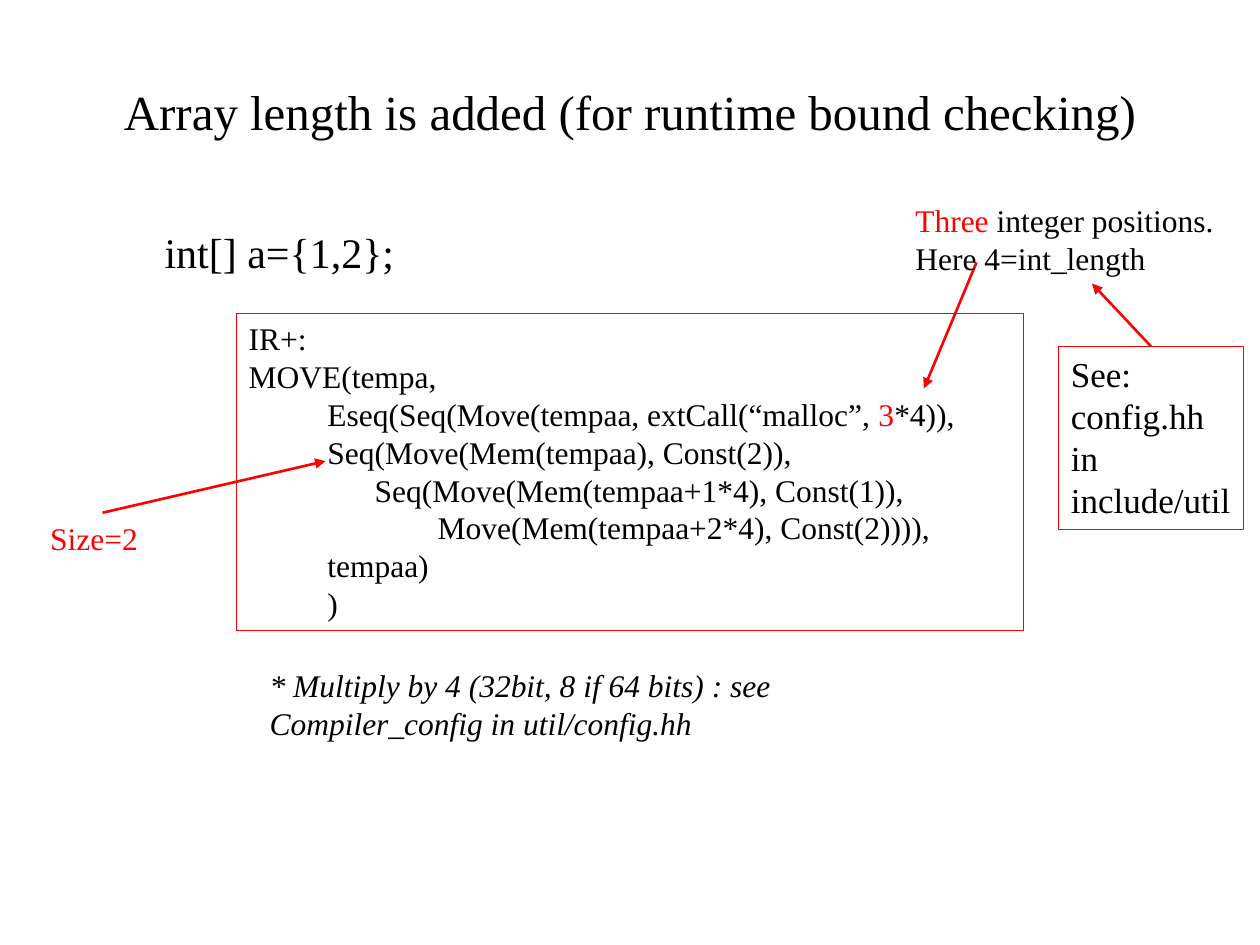
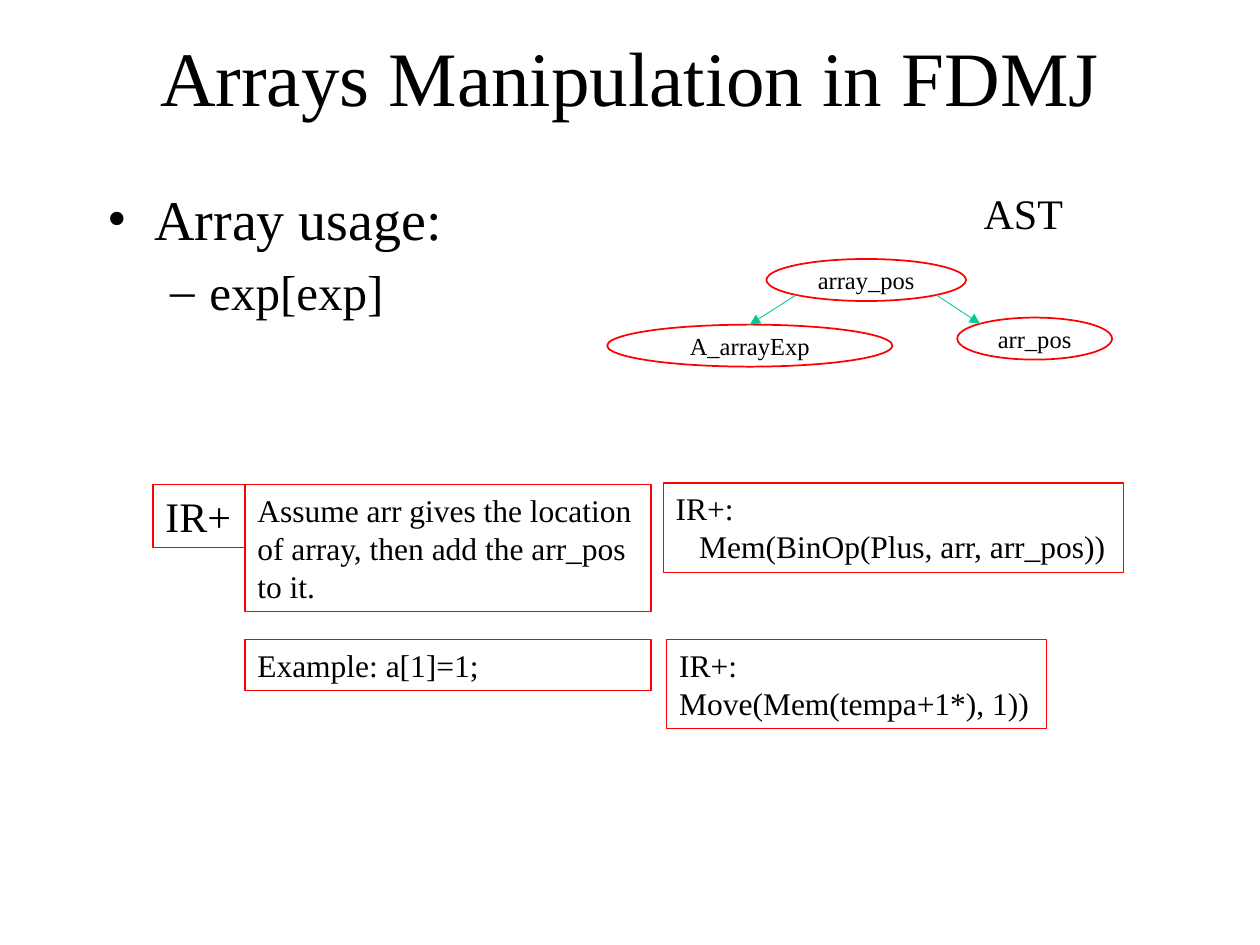
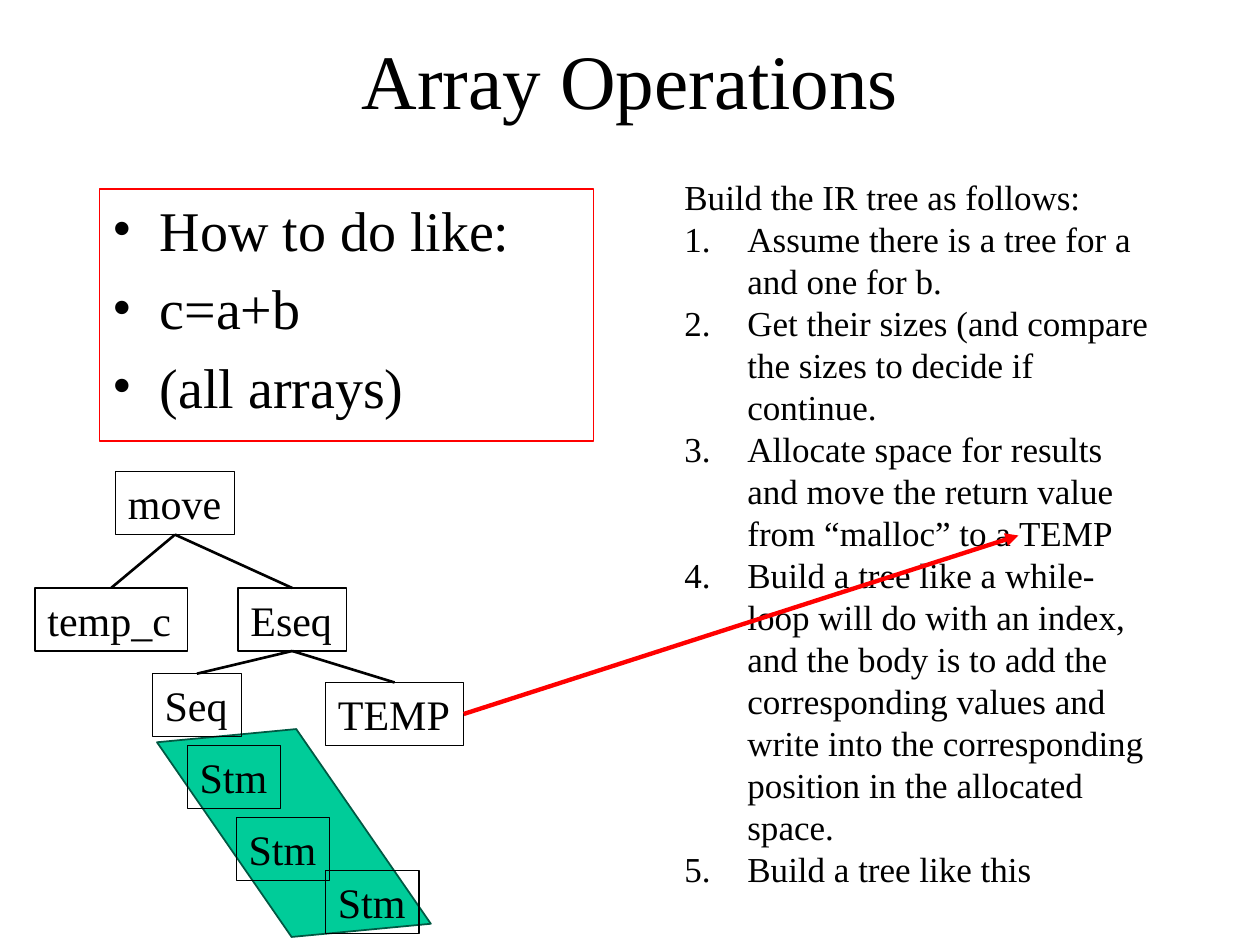
from lxml import etree
from pptx import Presentation
from pptx.dml.color import RGBColor
from pptx.enum.shapes import MSO_CONNECTOR, MSO_SHAPE
from pptx.enum.text import MSO_ANCHOR, MSO_AUTO_SIZE, PP_ALIGN
from pptx.oxml.ns import qn
from pptx.util import Pt

# Shared look
FONT = "Times New Roman"
BLACK = RGBColor(0x00, 0x00, 0x00)
RED = RGBColor(0xFF, 0x00, 0x00)
GREEN = RGBColor(0x00, 0xCC, 0x99)
DARK_GREEN = RGBColor(0x00, 0x59, 0x43)

STRAIGHT = MSO_CONNECTOR.STRAIGHT
ELLIPSE = MSO_SHAPE.OVAL
PARALLELOGRAM = MSO_SHAPE.PARALLELOGRAM
CENTER = PP_ALIGN.CENTER
MIDDLE = MSO_ANCHOR.MIDDLE
FIT_SHAPE = MSO_AUTO_SIZE.SHAPE_TO_FIT_TEXT
NO_FIT = MSO_AUTO_SIZE.NONE

TOP, BOTTOM, RIGHT = 0, 2, 3  # connection sites of a rectangle
TITLE_AND_BODY, TITLE_ONLY = 1, 5  # layouts of the template
NUMBERED = "1."


def write(frame, text, size=18, color=BLACK, italic=False, align=None,
          indent=0, hanging=0, bullet=None, level=0):
    """Add a paragraph; text is a string or a list of (string, color) runs."""
    paragraph = frame.paragraphs[0]
    if paragraph.runs:
        paragraph = frame.add_paragraph()
    paragraph.level = level
    paragraph.alignment = align
    properties = paragraph._p.get_or_add_pPr()
    properties.set("marL", str(Pt(indent)))
    properties.set("indent", str(-Pt(hanging)))
    if bullet == NUMBERED:
        etree.SubElement(properties, qn("a:buAutoNum"), type="arabicPeriod")
    elif bullet:
        etree.SubElement(properties, qn("a:buFont"), typeface=FONT)
        etree.SubElement(properties, qn("a:buChar"), char=bullet)
    runs = [(text, color)] if isinstance(text, str) else text
    for run_text, run_color in runs:
        run = paragraph.add_run()
        run.text = run_text
        run.font.name = FONT
        run.font.size = Pt(size)
        run.font.italic = italic
        run.font.color.rgb = run_color


def place(shape, left, top, width, height):
    shape.left, shape.top = Pt(left), Pt(top)
    shape.width, shape.height = Pt(width), Pt(height)


def outline(shape, color, weight):
    shape.line.color.rgb = color
    shape.line.width = Pt(weight)


def add_slide(deck, layout, title, top, height, size=44):
    slide = deck.slides.add_slide(deck.slide_layouts[layout])
    heading = slide.shapes.title
    place(heading, 54, top, 612, height)
    heading.text_frame.auto_size = NO_FIT
    heading.text_frame.vertical_anchor = MIDDLE
    write(heading.text_frame, title, size=size, align=CENTER)
    return slide


def use_body(slide, left, top, width, height):
    body = slide.placeholders[1]
    place(body, left, top, width, height)
    body.text_frame.auto_size = NO_FIT
    return body


def add_box(slide, left, top, width, height, *lines, border=None, wrap=True,
            **text_format):
    box = slide.shapes.add_textbox(Pt(left), Pt(top), Pt(width), Pt(height))
    box.text_frame.word_wrap = wrap
    box.text_frame.auto_size = FIT_SHAPE
    if border is not None:
        outline(box, border, 0.75)
    for line in lines:
        write(box.text_frame, line, **text_format)
    return box


def add_oval(slide, left, top, width, label):
    oval = slide.shapes.add_shape(ELLIPSE, Pt(left), Pt(top), Pt(width), Pt(24))
    oval.shadow.inherit = False
    oval.fill.background()
    outline(oval, RED, 1)
    oval.text_frame.vertical_anchor = MIDDLE
    oval.text_frame.word_wrap = False
    write(oval.text_frame, label, size=14, align=CENTER)


def add_line(slide, start, end, color, weight, arrow=True):
    """Draw a line; each end is a point (x, y) or a joint (shape, site)."""
    line = slide.shapes.add_connector(STRAIGHT, 0, 0, 0, 0)
    if isinstance(start[0], (int, float)):
        line.begin_x, line.begin_y = map(Pt, start)
    else:
        line.begin_connect(*start)
    if isinstance(end[0], (int, float)):
        line.end_x, line.end_y = map(Pt, end)
    else:
        line.end_connect(*end)
    outline(line, color, weight)
    if arrow:
        etree.SubElement(line.line._get_or_add_ln(), qn("a:tailEnd"), type="triangle")
    etree.SubElement(line._element.spPr, qn("a:effectLst"))


def build_length_slide(deck):
    slide = add_slide(deck, TITLE_ONLY,
                      "Array length is added (for runtime bound checking)",
                      31, 65, size=28)

    # Declaration and its IR code
    code = add_box(slide, 135, 179, 450, 181.5, border=RED)
    code_lines = [
        (0, "IR+:"),
        (0, "MOVE(tempa,"),
        (45, [("Eseq(Seq(Move(tempaa, extCall(“malloc”, ", BLACK),
              ("3", RED), ("*4)),", BLACK)]),
        (45, "Seq(Move(Mem(tempaa), Const(2)),"),
        (72, "Seq(Move(Mem(tempaa+1*4), Const(1)),"),
        (108, "Move(Mem(tempaa+2*4), Const(2)))),"),
        (45, "tempaa)"),
        (45, ")"),
    ]
    for indent, text in code_lines:
        write(code.text_frame, text, indent=indent)
    add_box(slide, 51, 126, 360, 36, "int[] a={1,2};", size=24, indent=36)
    add_box(slide, 147, 377, 360, 51,
            "* Multiply by 4 (32bit, 8 if 64 bits) : see Compiler_config in util/config.hh",
            italic=True)

    # Remarks and their arrows
    add_line(slide, (558, 150), (528, 222), RED, 1.5)
    add_box(slide, 516, 111.5, 186.5, 51,
            [("Three", RED), (" integer positions.", BLACK)],
            "Here 4=int_length", wrap=False)
    config = add_box(slide, 604.8, 198, 106, 104.4, "See:", "config.hh", "in",
                     "include/util", border=RED, wrap=False, size=20)
    add_line(slide, (config, TOP), (624, 162), RED, 1.5)
    size_note = add_box(slide, 21.6, 293, 74, 29, "Size=2", color=RED)
    add_line(slide, (size_note, TOP), (186, 263.5), RED, 1.5)


def build_usage_slide(deck):
    slide = add_slide(deck, TITLE_AND_BODY, "Arrays Manipulation in FDMJ", 15, 57)
    usage = use_body(slide, 54, 102, 612, 384).text_frame
    write(usage, "Array usage:", size=32, indent=27, hanging=27, bullet="•")
    write(usage, "exp[exp]", size=28, indent=58.5, hanging=22.5, bullet="–", level=1)

    # Syntax tree
    add_box(slide, 555, 103.5, 60.5, 36, "AST", size=24, wrap=False)
    add_oval(slide, 438, 148, 114, "array_pos")
    add_oval(slide, 347, 185.5, 163, "A_arrayExp")
    add_oval(slide, 547, 181.5, 88.5, "arr_pos")
    add_line(slide, (455, 168.5), (428.5, 185.5), GREEN, 0.5)
    add_line(slide, (535, 168.5), (560, 185), GREEN, 0.5)

    # Translation and example
    add_box(slide, 87.5, 277, 52.5, 36, "IR+", size=24, border=RED, wrap=False)
    add_box(slide, 140, 277, 232, 72.5,
            "Assume arr gives the location of array, then add the arr_pos to it.",
            border=RED)
    location = add_box(slide, 379, 276, 263, 51, "IR+:", border=RED, wrap=False)
    write(location.text_frame, "Mem(BinOp(Plus, arr, arr_pos))", indent=13.5)
    add_box(slide, 140, 365.5, 232, 29, "Example: a[1]=1;", border=RED)
    add_box(slide, 381, 365.5, 217, 51, "IR+:", "Move(Mem(tempa+1*), 1))",
            border=RED, wrap=False)


def build_operations_slide(deck):
    slide = add_slide(deck, TITLE_AND_BODY, "Array Operations", 18, 54)

    # Band behind the statements
    band = slide.shapes.add_shape(PARALLELOGRAM, Pt(95), Pt(417), Pt(146), Pt(118))
    band.adjustments[0] = 0.56
    band.rotation = -5.4
    band._element.spPr.find(qn("a:xfrm")).set("flipH", "1")
    band.shadow.inherit = False
    band.fill.solid()
    band.fill.fore_color.rgb = GREEN
    outline(band, DARK_GREEN, 1)

    # Question and steps
    question = use_body(slide, 57, 108, 282, 144)
    outline(question, RED, 0.75)
    for text in ("How to do like:", "c=a+b", "(all arrays)"):
        write(question.text_frame, text, size=32, indent=27, hanging=27, bullet="•")
    steps = add_box(slide, 384, 96.5, 282, 419, "Build the IR tree as follows:", size=20)
    for text in (
        "Assume there is a tree for a and one for b.",
        "Get their sizes (and compare the sizes to decide if continue.",
        "Allocate space for results and move the return value from “malloc” to a TEMP",
        "Build a tree like a while-loop will do with an index, and the body is to add "
        "the corresponding values and write into the corresponding position in the "
        "allocated space.",
        "Build a tree like this",
    ):
        write(steps.text_frame, text, size=20, indent=36, hanging=36, bullet=NUMBERED)

    # IR tree
    def add_node(label, left, top, width):
        return add_box(slide, left, top, width, 36, label, size=24,
                       border=BLACK, wrap=False)

    move = add_node("move", 66, 269.5, 68)
    temp_c = add_node("temp_c", 20, 336, 87)
    eseq = add_node("Eseq", 136, 336, 62)
    temp = add_node("TEMP", 186, 390, 79)
    seq = add_node("Seq", 87, 385, 51)
    for left, top in ((107, 426), (135, 467), (186, 497.5)):
        add_node("Stm", left, top, 53.5)
    for parent, child in ((move, temp_c), (move, eseq), (eseq, temp), (eseq, seq)):
        add_line(slide, (parent, BOTTOM), (child, TOP), BLACK, 1.5, arrow=False)
    add_line(slide, (temp, RIGHT), (582, 306), RED, 2.5)


def main():
    deck = Presentation()
    deck.slide_width, deck.slide_height = Pt(720), Pt(540)
    build_length_slide(deck)
    build_usage_slide(deck)
    build_operations_slide(deck)
    deck.save("out.pptx")


if __name__ == "__main__":
    main()
